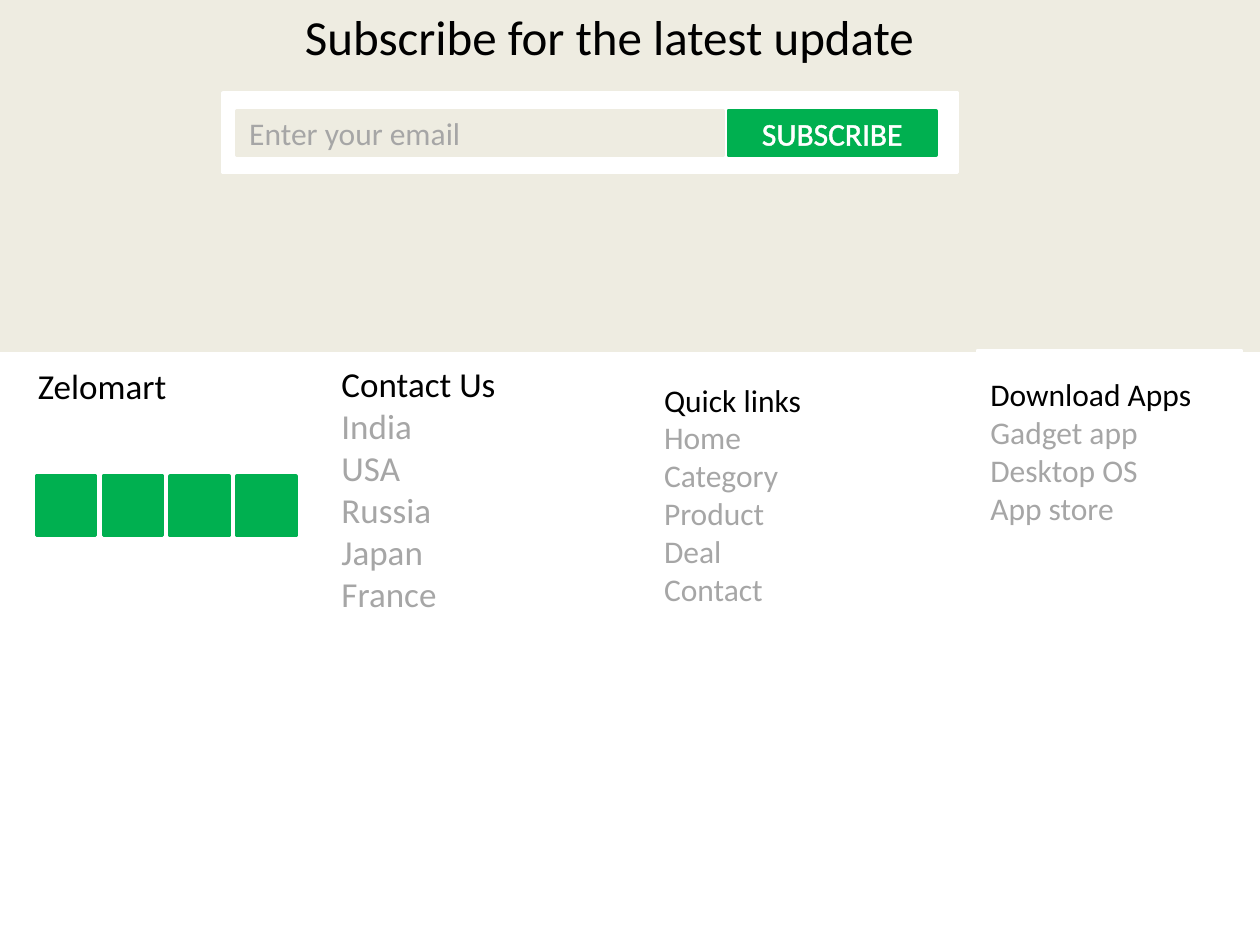
"""Build a subscribe banner above a four-column page footer."""
from lxml import etree
from pptx import Presentation
from pptx.dml.color import RGBColor
from pptx.enum.shapes import MSO_SHAPE
from pptx.enum.text import MSO_ANCHOR, MSO_AUTO_SIZE, PP_ALIGN
from pptx.oxml.ns import qn
from pptx.util import Inches, Pt

BEIGE = RGBColor(0xEE, 0xEC, 0xE1)
WHITE = RGBColor(0xFF, 0xFF, 0xFF)
GREEN = RGBColor(0x00, 0xB0, 0x50)
BLACK = RGBColor(0x00, 0x00, 0x00)
GREY = RGBColor(0xA6, 0xA6, 0xA6)
RECTANGLE = MSO_SHAPE.RECTANGLE
TOP, MIDDLE = MSO_ANCHOR.TOP, MSO_ANCHOR.MIDDLE
LEFT, CENTER = PP_ALIGN.LEFT, PP_ALIGN.CENTER
NO_FIT = MSO_AUTO_SIZE.NONE
COMPARISON = 4

COLUMNS = [
    (0.2, 2.83, 2.2, 20, True, ["Zelomart"]),
    (2.61, 2.82, 2.09, 20, False,
     ["Contact Us", "India", "USA", "Russia", "Japan", "France"]),
    (5.17, 2.82, 2.09, 18, True,
     ["Quick links", "Home", "Category", "Product", "Deal", "Contact"]),
    (7.76, 2.78, 2.09, 18, True,
     ["Download Apps", "Gadget app", "Desktop OS", "App store"]),
]
COLUMN_HEIGHT = 2.83
COLUMN_INSET = {20: 0.06, 18: 0.2}


def write(para, text, size=18, color=BLACK, align=LEFT, outlined=True):
    """Put one formatted, unbulleted line of text into a paragraph."""
    para.alignment = align
    para.space_before = Pt(0)
    properties = para._p.get_or_add_pPr()
    properties.set("marL", "0")
    properties.set("indent", "0")
    etree.SubElement(properties, qn("a:buNone"))
    span = para.add_run()
    span.text = text
    span.font.name = "Calibri"
    span.font.size = Pt(size)
    span.font.bold = False
    span.font.color.rgb = color
    if outlined:
        outline = etree.Element(qn("a:ln"), w=str(Pt(0.75)))
        fill = etree.SubElement(outline, qn("a:solidFill"))
        etree.SubElement(fill, qn("a:srgbClr"), val=str(color))
        span.font._element.insert(0, outline)


class Footer:
    """Hold the box style and the slide being drawn."""

    def __init__(self, page):
        """Keep the slide and colour its background."""
        self.page = page
        self.line_width = Pt(2)
        page.background.fill.solid()
        page.background.fill.fore_color.rgb = BEIGE

    def paint(self, box, color, lined=True):
        """Fill a box and give it a border of the same colour."""
        box.fill.solid()
        box.fill.fore_color.rgb = color
        if lined:
            box.line.color.rgb = color
            box.line.width = self.line_width
        else:
            box.line.fill.background()

    def panel(self, left, top, width, height, fill, text=None, **style):
        """Draw a filled rectangle with an optional label."""
        box = self.page.shapes.add_shape(
            RECTANGLE, Inches(left), Inches(top), Inches(width), Inches(height))
        box.shadow.inherit = False
        self.paint(box, fill)
        if text:
            box.text_frame.vertical_anchor = MIDDLE
            write(box.text_frame.paragraphs[0], text, **style)

    def placeholder(self, box, left, top, width, height, fill, lined=True):
        """Bring a placeholder to the front, place it and return its text frame."""
        box._element.getparent().append(box._element)
        box.left, box.top = Inches(left), Inches(top)
        box.width, box.height = Inches(width), Inches(height)
        self.paint(box, fill, lined)
        frame = box.text_frame
        frame.word_wrap = True
        frame.auto_size = NO_FIT
        return frame

    def title(self, text, left, top, width, height):
        """Fill the title placeholder."""
        frame = self.placeholder(
            self.page.shapes.title, left, top, width, height, BEIGE)
        frame.vertical_anchor = MIDDLE
        write(frame.paragraphs[0], text, size=28)

    def column(self, box, left, top, width, size, lined, lines):
        """Fill a body placeholder with a heading and its grey entries."""
        frame = self.placeholder(
            box, left, top, width, COLUMN_HEIGHT, WHITE, lined)
        frame.vertical_anchor = TOP
        frame.margin_top = Inches(COLUMN_INSET[size])
        for index, text in enumerate(lines):
            para = frame.add_paragraph() if index else frame.paragraphs[0]
            write(para, text, size=size, color=GREY if index else BLACK)


def main():
    """Assemble the slide and save it."""
    deck = Presentation()
    deck.slide_width, deck.slide_height = Inches(10), Inches(7.5)
    page = deck.slides.add_slide(deck.slide_layouts[COMPARISON])
    bodies = list(page.placeholders)[1:]
    footer = Footer(page)

    footer.title("Subscribe for the latest update", 2.32, 0.05, 6.61, 0.47)
    footer.panel(1.77, 0.74, 5.83, 0.63, WHITE)
    footer.panel(1.88, 0.88, 3.86, 0.35, BEIGE, "Enter your email",
                 color=GREY, outlined=False)
    footer.panel(5.78, 0.88, 1.65, 0.35, GREEN, "SUBSCRIBE",
                 color=WHITE, align=CENTER)
    footer.panel(0, 2.81, 10, 4.69, WHITE)
    for body, column in zip(bodies, COLUMNS):
        footer.column(body, *column)
    for index in range(4):
        footer.panel(0.29 + 0.53 * index, 3.78, 0.47, 0.47, GREEN)
    deck.save("out.pptx")


if __name__ == "__main__":
    main()
